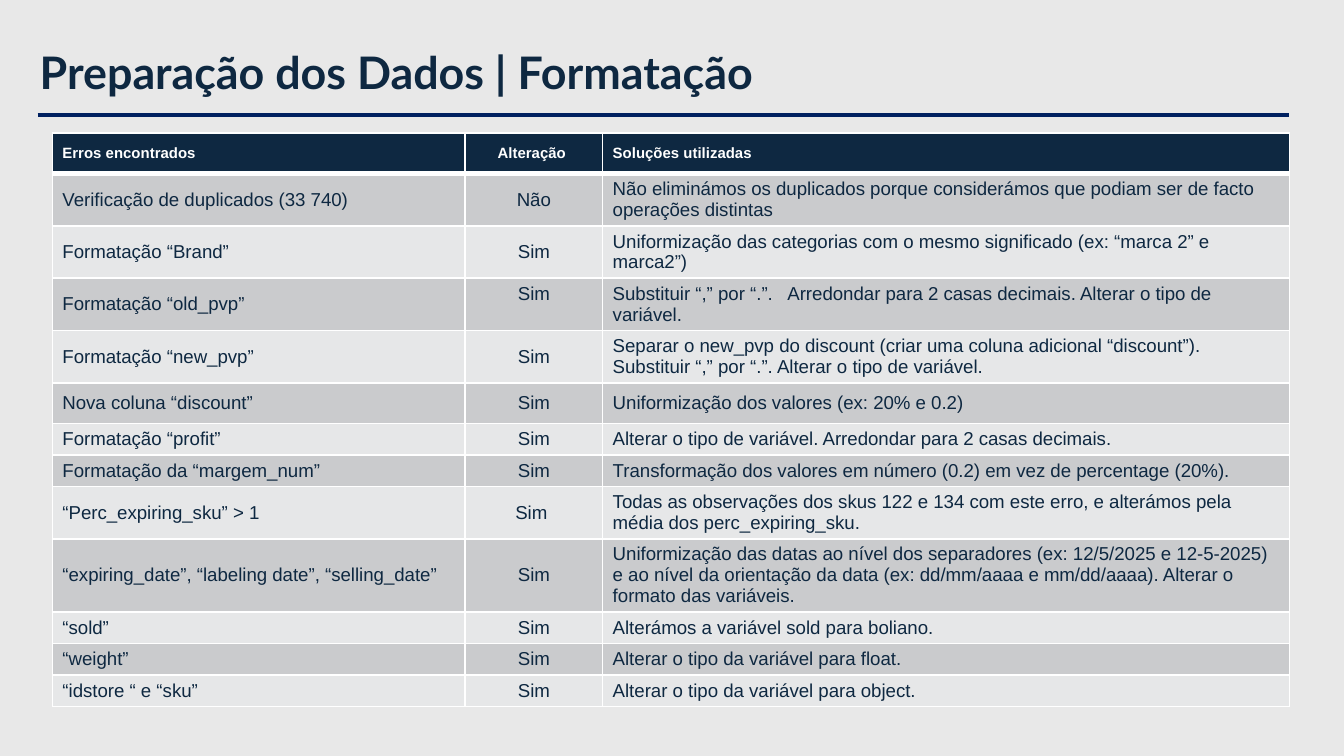
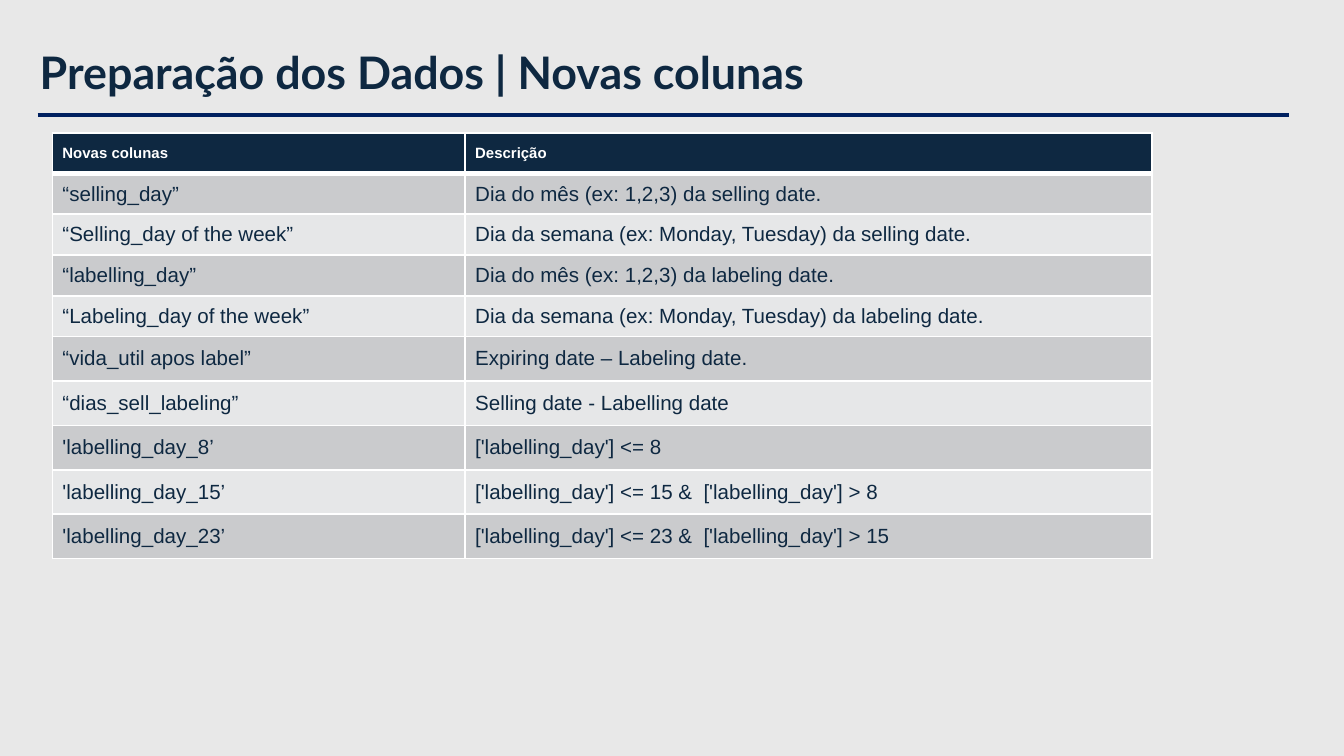
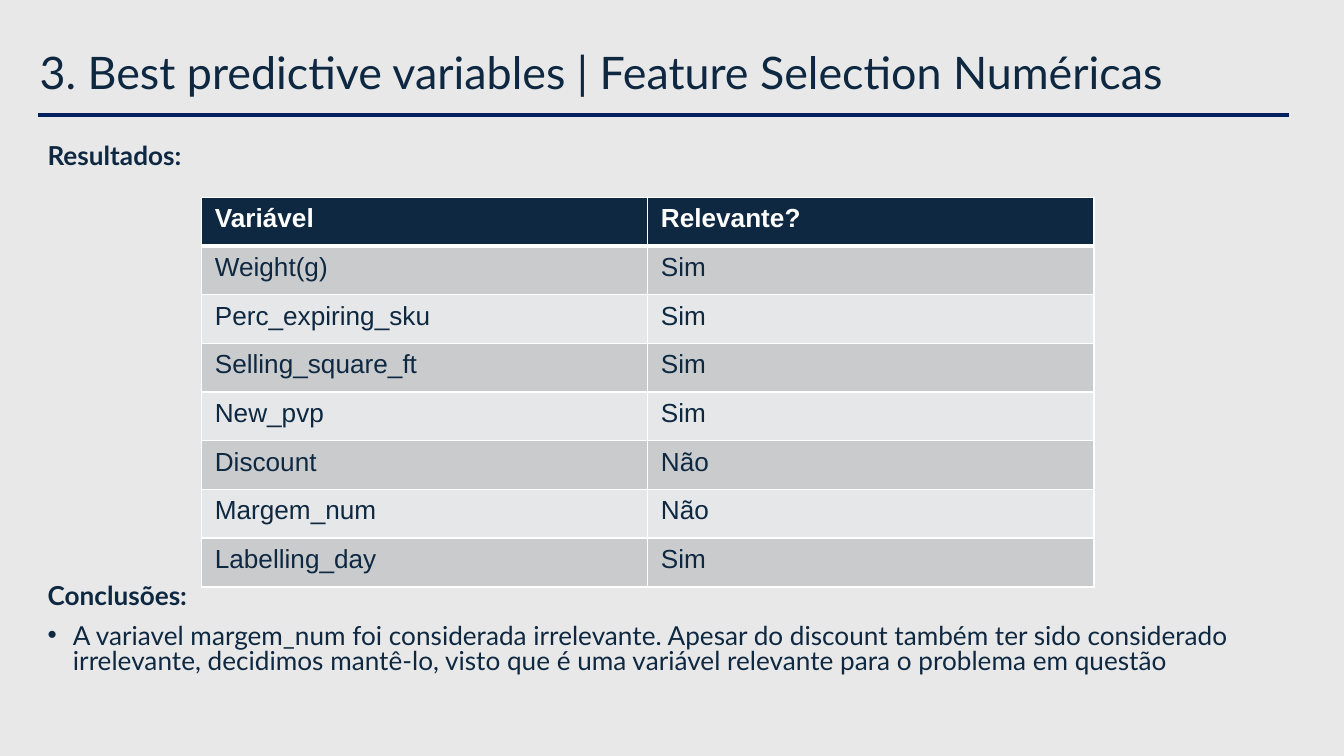
from dataclasses import dataclass

from lxml import etree
from pptx import Presentation
from pptx import util as u
from pptx.dml.color import RGBColor
from pptx.enum import shapes, text
from pptx.oxml.ns import qn

NAVY, RULE, WHITE, PAPER = "0E2841", "002060", "FFFFFF", "E8E8E8"
BANDS = ("CACBCD", "E6E7E8")
HEAD_FONT, CELL_FONT = "Lato", "Arial"
MIDDLE, TOP = text.MSO_ANCHOR.MIDDLE, text.MSO_ANCHOR.TOP


@dataclass
class Grid:
    """A banded table: place, sizes in cm, text sizes in points and rows of text."""
    left: float
    top: float
    cols: tuple
    heights: tuple
    head_size: float
    size: float
    rows: list
    margins: tuple = (0.19, 0.1)
    anchor: text.MSO_ANCHOR = MIDDLE
    centred: tuple = ()
    top_cells: tuple = ()


FORMATTING = Grid(
    0.99, 2.51, (7.8, 2.6, 12.98),
    (0.77, *[0.98] * 4, 0.77, 0.59, 0.59, 0.98, 1.37, *[0.59] * 3), 8, 10, [
        ("Erros encontrados", "Alteração ", "Soluções utilizadas"),
        ("Verificação de duplicados (33 740)", "Não",
         "Não eliminámos os duplicados porque considerámos que podiam ser de facto operações distintas"),
        ("Formatação “Brand”", "Sim",
         "Uniformização das categorias com o mesmo significado (ex: “marca 2” e marca2”)"),
        ("Formatação “old_pvp”", "Sim",
         "Substituir “,” por “.”.   Arredondar para 2 casas decimais. Alterar o tipo de variável."),
        ("Formatação “new_pvp”", "Sim",
         "Separar o new_pvp do discount (criar uma coluna adicional “discount”). "
         "Substituir “,” por “.”. Alterar o tipo de variável."),
        ("Nova coluna “discount”", "Sim", "Uniformização dos valores (ex: 20% e 0.2)"),
        ("Formatação “profit”", "Sim",
         "Alterar o tipo de variável. Arredondar para 2 casas decimais."),
        ("Formatação da “margem_num”", "Sim",
         "Transformação dos valores em número (0.2) em vez de percentage (20%)."),
        ("“Perc_expiring_sku” > 1", "Sim ",
         "Todas as observações dos skus 122 e 134 com este erro, e alterámos pela média dos perc_expiring_sku."),
        ("“expiring_date”, “labeling date”, “selling_date”", "Sim",
         "Uniformização das datas ao nível dos separadores (ex: 12/5/2025 e 12-5-2025) e ao nível da "
         "orientação da data (ex: dd/mm/aaaa e mm/dd/aaaa). Alterar o formato das variáveis."),
        ("“sold”", "Sim", "Alterámos a variável sold para boliano."),
        ("“weight”", "Sim", "Alterar o tipo da variável para float."),
        ("“idstore “ e “sku”", "Sim", "Alterar o tipo da variável para object."),
    ], centred=(1,), top_cells=((3, 1),))

NEW_COLUMNS = Grid(
    0.99, 2.51, (7.8, 12.98), (*[0.77] * 5, *[0.84] * 5), 8, 11, [
        ("Novas colunas", "Descrição"),
        ("“selling_day”", "Dia do mês (ex: 1,2,3) da selling date."),
        ("“Selling_day of the week”", "Dia da semana (ex: Monday, Tuesday) da selling date."),
        ("“labelling_day”", "Dia do mês (ex: 1,2,3) da labeling date."),
        ("“Labeling_day of the week”", "Dia da semana (ex: Monday, Tuesday) da labeling date."),
        ("“vida_util apos label”", "Expiring date – Labeling date."),
        ("“dias_sell_labeling”", "Selling date - Labelling date"),
        ("'labelling_day_8’", "['labelling_day'] <= 8"),
        ("'labelling_day_15’", "['labelling_day'] <= 15 &  ['labelling_day'] > 8"),
        ("'labelling_day_23’", "['labelling_day'] <= 23 &  ['labelling_day'] > 15"),
    ])

RELEVANCE = Grid(
    3.81, 3.73, (8.43, 8.43), (0.92,) * 8, 14, 14, [
        ("Variável", "Relevante?"),
        ("Weight(g)", "Sim"),
        ("Perc_expiring_sku", "Sim"),
        ("Selling_square_ft", "Sim"),
        ("New_pvp", "Sim"),
        ("Discount", "Não"),
        ("Margem_num", "Não"),
        ("Labelling_day", "Sim"),
    ], margins=(0.25, 0.13), anchor=TOP)


def rgb(value: str) -> RGBColor:
    """Turn a hex string into a colour."""
    return RGBColor.from_string(value)


def add_run(p, words: str, size: float, font: str, colour: str = NAVY, bold: bool = False) -> None:
    """Append one formatted run to a paragraph."""
    r = p.add_run()
    r.text = words
    r.font.size, r.font.name, r.font.bold = u.Pt(size), font, bold
    r.font.color.rgb = rgb(colour)


def set_margins(box, side: float, edge: float) -> None:
    """Set the inner margins of a text frame or cell, in cm."""
    box.margin_left = box.margin_right = u.Cm(side)
    box.margin_top = box.margin_bottom = u.Cm(edge)


def add_border(cell, widths: dict) -> None:
    """Draw white cell edges with the given widths in points."""
    tc_pr = cell._tc.get_or_add_tcPr()
    for i, (side, width) in enumerate(widths.items()):
        ln = etree.Element(qn(f"a:ln{side}"), w=str(u.Pt(width)))
        fill = etree.SubElement(ln, qn("a:solidFill"))
        etree.SubElement(fill, qn("a:srgbClr"), val=WHITE)
        tc_pr.insert(i, ln)


def add_slide(prs, title: str, bold: bool = True):
    """Add a slide with its title and the rule below it."""
    s = prs.slides.add_slide(prs.slide_layouts[5])
    sp = s.shapes.title
    sp.left, sp.top, sp.width, sp.height = u.Cm(0.56), u.Cm(0.64), u.Cm(23.09), u.Cm(1.55)
    tf = sp.text_frame
    tf.word_wrap, tf.auto_size, tf.vertical_anchor = True, text.MSO_AUTO_SIZE.NONE, MIDDLE
    set_margins(tf, 0.19, 0.1)
    p = tf.paragraphs[0]
    p.alignment, p.line_spacing = text.PP_ALIGN.LEFT, 0.9
    add_run(p, title, 24, HEAD_FONT, bold=bold)
    rule = s.shapes.add_connector(shapes.MSO_CONNECTOR.STRAIGHT,
                                  u.Cm(0.71), u.Cm(2.18), u.Cm(24.36), u.Cm(2.18))
    rule.line.color.rgb, rule.line.width = rgb(RULE), u.Pt(2.25)
    etree.SubElement(rule._element.spPr, qn("a:effectLst"))
    return s


def add_grid(s, grid: Grid) -> None:
    """Draw a table with a dark header and alternating bands."""
    table = s.shapes.add_table(len(grid.rows), len(grid.cols), u.Cm(grid.left), u.Cm(grid.top),
                               u.Cm(sum(grid.cols)), u.Cm(sum(grid.heights))).table
    for column, width in zip(table.columns, grid.cols):
        column.width = u.Cm(width)
    for i, (row, height, values) in enumerate(zip(table.rows, grid.heights, grid.rows)):
        row.height = u.Cm(height)
        header = i == 0
        for j, (cell, words) in enumerate(zip(row.cells, values)):
            cell.fill.solid()
            cell.fill.fore_color.rgb = rgb(NAVY if header else BANDS[(i - 1) % 2])
            add_border(cell, {"L": 1, "R": 1, "T": 3 if i == 1 else 1, "B": 3 if header else 1})
            set_margins(cell, *grid.margins)
            cell.vertical_anchor = TOP if (i, j) in grid.top_cells else grid.anchor
            p = cell.text_frame.paragraphs[0]
            p.alignment = text.PP_ALIGN.CENTER if j in grid.centred else text.PP_ALIGN.LEFT
            add_run(p, words, grid.head_size if header else grid.size, CELL_FONT,
                    WHITE if header else NAVY, header)


def add_bullet(p) -> None:
    """Give a paragraph a hanging round bullet."""
    p_pr = p._p.get_or_add_pPr()
    p_pr.set("marL", str(u.Cm(0.48)))
    p_pr.set("indent", str(-u.Cm(0.48)))
    colour = etree.SubElement(p_pr, qn("a:buClr"))
    etree.SubElement(colour, qn("a:srgbClr"), val=NAVY)
    etree.SubElement(p_pr, qn("a:buFont"), typeface=CELL_FONT)
    etree.SubElement(p_pr, qn("a:buChar"), char="•")


def add_findings(s) -> None:
    """Write the results heading and the conclusions that frame the table."""
    tf = s.shapes.add_textbox(u.Cm(0.71), u.Cm(2.64), u.Cm(23.93), u.Cm(11)).text_frame
    tf.word_wrap = True
    set_margins(tf, 0.19, 0.1)
    lines = [
        ("Resultados:", 8, True),
        ("Conclusões:", 222.4, True),
        ("A variavel margem_num foi considerada irrelevante. Apesar do discount também ter sido "
         "considerado irrelevante, decidimos mantê-lo, visto que é uma variável relevante para o "
         "problema em questão", 8, False),
    ]
    for i, (words, before, heading) in enumerate(lines):
        p = tf.add_paragraph() if i else tf.paragraphs[0]
        p.line_spacing, p.space_before = 0.8, u.Pt(before)
        if not heading:
            add_bullet(p)
        add_run(p, words, 14, HEAD_FONT, bold=heading)


def main() -> None:
    """Build and save the three slides."""
    prs = Presentation()
    prs.slide_width, prs.slide_height = u.Cm(25.4), u.Cm(14.29)
    background = prs.slide_master.background.fill
    background.solid()
    background.fore_color.rgb = rgb(PAPER)

    add_grid(add_slide(prs, "Preparação dos Dados | Formatação"), FORMATTING)
    add_grid(add_slide(prs, "Preparação dos Dados | Novas colunas"), NEW_COLUMNS)
    s = add_slide(prs, "3. Best predictive variables | Feature Selection Numéricas", bold=False)
    add_findings(s)
    add_grid(s, RELEVANCE)
    prs.save("out.pptx")


if __name__ == "__main__":
    main()
